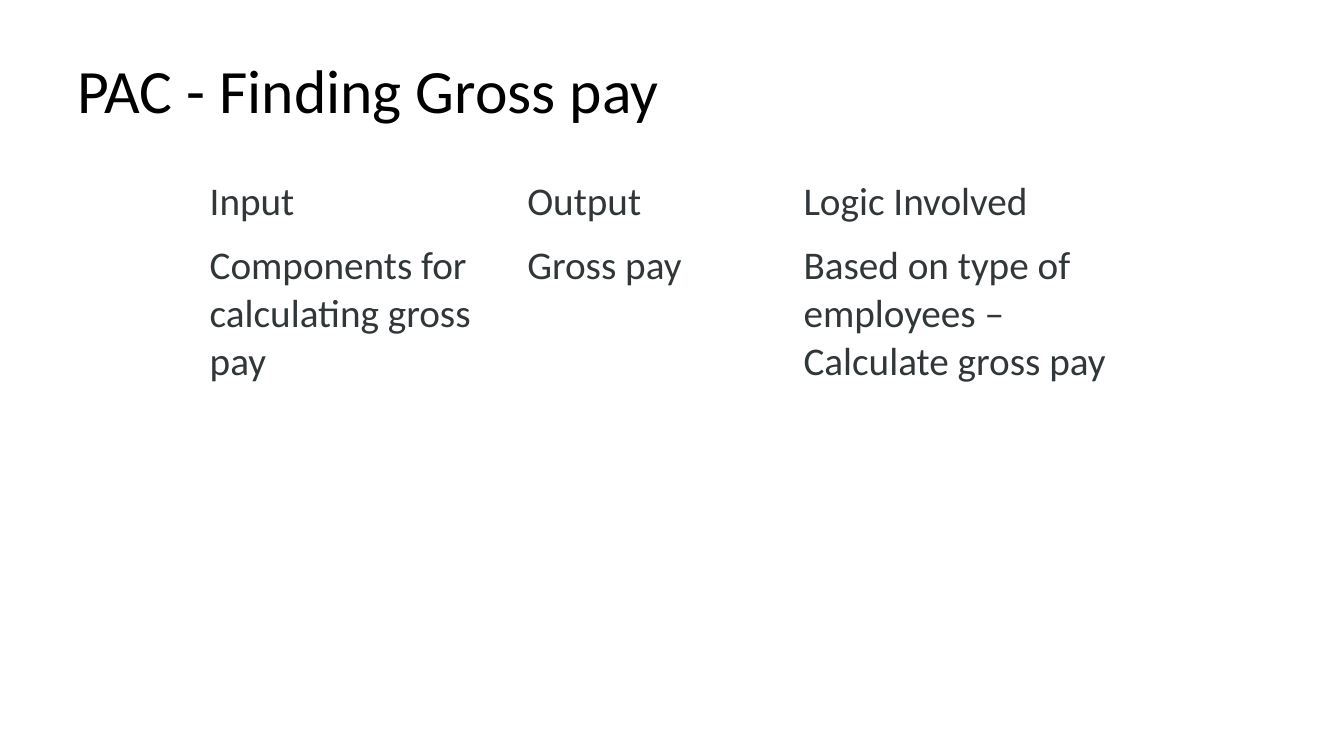
from pptx import Presentation
from pptx.dml.color import RGBColor
from pptx.enum.text import MSO_ANCHOR
from pptx.util import Inches, Pt

FONT = "Calibri"
BLACK = "000000"
DARK_GREY = "313739"
COLUMN_WIDTHS = (3.15, 2.74, 3.56)
ROW_HEIGHTS = (0.63, 3)
PAC_ROWS = (
    ("Input", "Output", "Logic Involved"),
    (
        "Components for calculating gross pay",
        "Gross pay",
        "Based on type of employees – Calculate gross pay",
    ),
)


def color(hex_string):
    return RGBColor.from_string(hex_string)


def write(text_frame, text, size, hex_string):
    text_frame.text = text
    para = text_frame.paragraphs[0]
    for span in para.runs:
        span.font.name = FONT
        span.font.size = Pt(size)
        span.font.bold = False
        span.font.color.rgb = color(hex_string)
    return para


def add_title(slide, left, top, width, height, text):
    box = slide.shapes.add_textbox(*map(Inches, (left, top, width, height)))
    box.text_frame.word_wrap = True
    box.text_frame.vertical_anchor = MSO_ANCHOR.MIDDLE
    write(box.text_frame, text, 44, BLACK).line_spacing = 0.9


def add_pac_table(slide, left, top):
    size = sum(COLUMN_WIDTHS), sum(ROW_HEIGHTS)
    frame = slide.shapes.add_table(
        len(PAC_ROWS), len(COLUMN_WIDTHS), *map(Inches, (left, top, *size))
    )
    table = frame.table
    table.first_row = table.horz_banding = False
    for column, width in zip(table.columns, COLUMN_WIDTHS):
        column.width = Inches(width)
    for row, height, texts in zip(table.rows, ROW_HEIGHTS, PAC_ROWS):
        row.height = Inches(height)
        for cell, text in zip(row.cells, texts):
            cell.fill.background()
            write(cell.text_frame, text, 28, DARK_GREY)


def main():
    deck = Presentation()
    deck.slide_width, deck.slide_height = Inches(13.33), Inches(7.5)
    slide = deck.slides.add_slide(deck.slide_layouts[6])

    # Heading
    add_title(slide, 0.67, 0.3, 12, 1.25, "PAC - Finding Gross pay")

    # Problem analysis chart
    add_pac_table(slide, 1.98, 1.72)

    deck.save("out.pptx")


if __name__ == "__main__":
    main()
